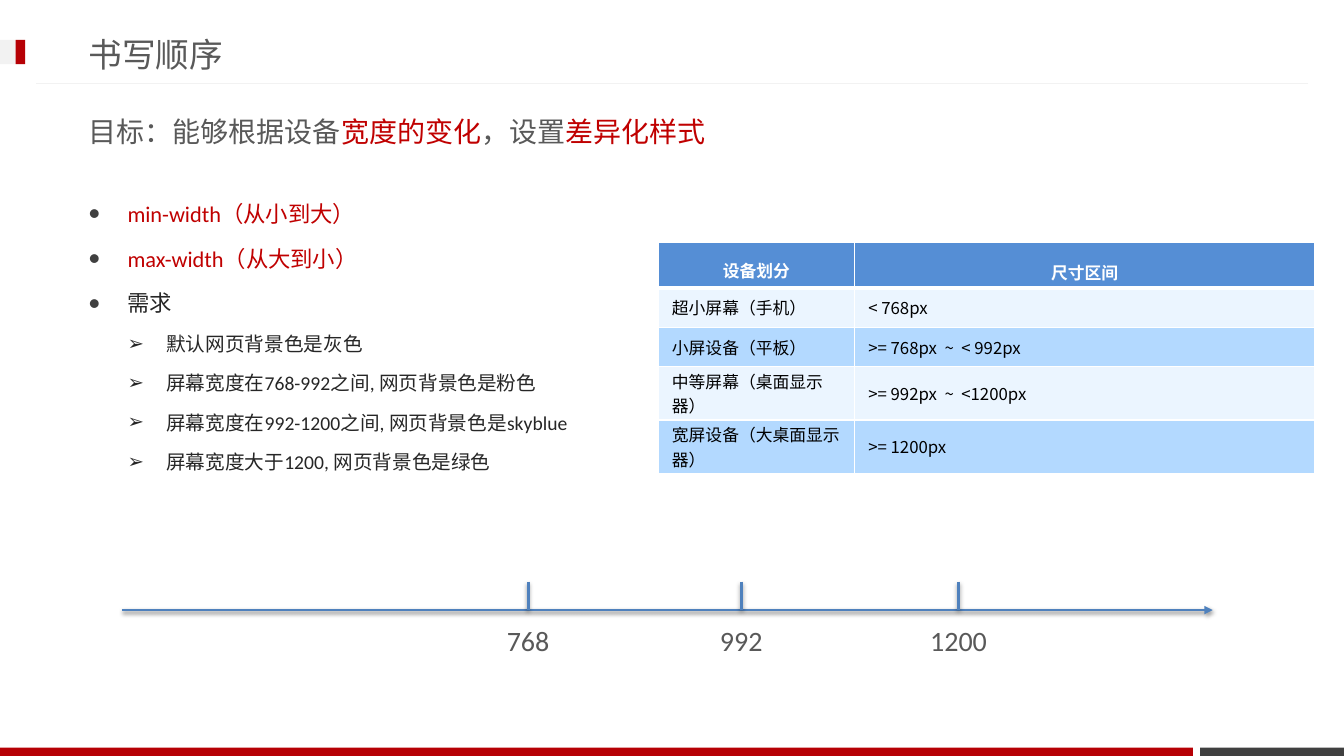
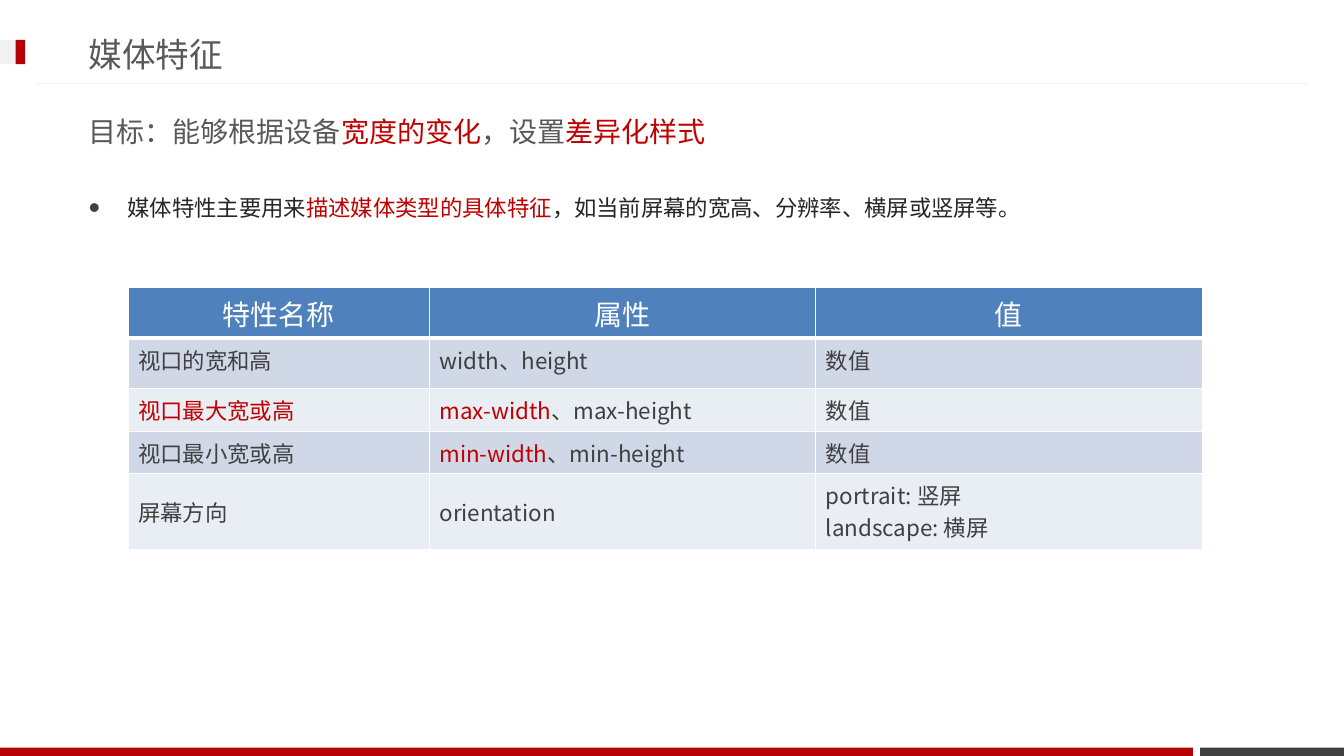
from lxml import etree
from pptx import Presentation
from pptx.dml.color import RGBColor
from pptx.enum.lang import MSO_LANGUAGE_ID as Lang
from pptx.enum.shapes import MSO_CONNECTOR as Connector, MSO_SHAPE as Shape
from pptx.enum.text import MSO_ANCHOR as Anchor, PP_ALIGN as Align
from pptx.oxml.ns import qn
from pptx.util import Pt

PX = 9525
SLIDE_W, SLIDE_H = 1280, 720
COLORS = {
    "band": "B60005", "dark": "404040", "pale": "F2F2F2", "white": "FFFFFF",
    "heading": "595959", "body": "262626", "accent": "C00000", "black": "000000",
    "blue": "4F81BD", "sky": "558ED5",
    "ice": "EBF5FF", "azure": "B3D9FF", "mist": "D0D8E8", "haze": "E9EDF4",
}
HEAD_FONT, BODY_FONT, CELL_FONT = "Lato", "Calibri", "Noto Sans CJK JP"
GOAL = "目标：能够根据设备|宽度的变化|，设置|差异化样式"
LEFT, TEXT_W = 75, 1128


def px(*lengths):
    return [length * PX for length in lengths]


def rgb(name):
    return RGBColor.from_string(COLORS[name])


def sub(parent, tag, **attributes):
    return etree.SubElement(parent, qn(tag), attributes)


def write(paragraph, text, size, font, color, bold=False, east_asian=None):
    """Fill a paragraph; every second part between bars takes the accent colour."""
    for index, part in enumerate(text.split("|")):
        if not part:
            continue
        run = paragraph.add_run()
        run.text = part
        run.font.size, run.font.name, run.font.bold = Pt(size), font, bold
        run.font.color.rgb = rgb("accent" if index % 2 else color)
        run.font.language_id = Lang.SIMPLIFIED_CHINESE
        if east_asian:
            sub(run.font._element, "a:ea", typeface=east_asian)


def add_text_frame(slide, box, anchor=Anchor.TOP):
    frame = slide.shapes.add_textbox(*px(*box)).text_frame
    frame.word_wrap = True
    frame.vertical_anchor = anchor
    return frame


def add_band(slide, box, color):
    band = slide.shapes.add_shape(Shape.RECTANGLE, *px(*box))
    band.shadow.inherit = False
    band.fill.solid()
    band.fill.fore_color.rgb = rgb(color)
    band.line.fill.background()


def add_line(slide, ends, color, width, arrow=False, shadow=False):
    line = slide.shapes.add_connector(Connector.STRAIGHT, *px(*ends))
    line.line.color.rgb = rgb(color)
    line.line.width = Pt(width)
    if arrow:
        sub(line.line._get_or_add_ln(), "a:tailEnd", type="triangle")
    effects = sub(line._element.spPr, "a:effectLst")
    if shadow:
        outer = sub(effects, "a:outerShdw", blurRad=str(Pt(3.1)), dist=str(Pt(1.6)),
                    dir="5400000", rotWithShape="0")
        shade = sub(outer, "a:srgbClr", val=COLORS["black"])
        sub(shade, "a:alpha", val="38000")


def add_page(deck, title):
    """Add a slide with the bands, title and goal that all slides share."""
    slide = deck.slides.add_slide(deck.slide_layouts[6])
    add_band(slide, (1143, 712, 137, 8), "dark")
    add_band(slide, (0, 712, 1136, 8), "band")
    add_line(slide, (1246, 80, 34, 80), "pale", 0.75)
    add_band(slide, (0, 38, 24, 23), "pale")
    add_band(slide, (15, 38, 9, 23), "band")
    for text, box, size in ((title, (LEFT, 24, 921, 55), 24),
                            (GOAL, (LEFT, 98, TEXT_W, 55), 20)):
        frame = add_text_frame(slide, box, Anchor.MIDDLE)
        write(frame.paragraphs[0], text, size, HEAD_FONT, "heading")
    return slide


def add_bullets(slide, box, items):
    """Write (level, text) items as a bulleted list."""
    frame = add_text_frame(slide, box)
    for index, (level, text) in enumerate(items):
        paragraph = frame.add_paragraph() if index else frame.paragraphs[0]
        size = 14 if level else 16
        paragraph.level = level
        paragraph.line_spacing = 1.5
        paragraph.space_before = Pt(size * 0.2 if index else 0)
        props = paragraph._p.get_or_add_pPr()
        hang = 37 * PX
        props.set("marL", str(hang * (level + 1)))
        props.set("indent", str(-hang))
        if level == 0:
            sub(sub(props, "a:buClr"), "a:srgbClr", val=COLORS["dark"])
            sub(props, "a:buSzPct", val="85000")
        sub(props, "a:buFont", typeface=BODY_FONT)
        sub(props, "a:buChar", char="➢" if level else "●")
        write(paragraph, text, size, BODY_FONT, "body")


def set_borders(cell, top, bottom):
    props = cell._tc.get_or_add_tcPr()
    for index, (side, width) in enumerate(
            (("L", 1), ("R", 1), ("T", top), ("B", bottom))):
        border = etree.Element(qn(f"a:ln{side}"), w=str(Pt(width)))
        sub(sub(border, "a:solidFill"), "a:srgbClr", val=COLORS["white"])
        props.insert(index, border)


def add_grid(slide, origin, widths, heights, rows, fills, style_cell):
    """Add a table; fills are the header colour, then the two row colours."""
    table = slide.shapes.add_table(len(rows), len(widths), *px(
        *origin, sum(widths), sum(heights))).table
    table.horz_banding = False
    for column, width in zip(table.columns, widths):
        column.width = width * PX
    for r, texts in enumerate(rows):
        table.rows[r].height = heights[r] * PX
        for c, text in enumerate(texts):
            cell = table.cell(r, c)
            cell.fill.solid()
            cell.fill.fore_color.rgb = rgb(fills[0] if r == 0 else fills[2 - r % 2])
            set_borders(cell, 3 if r == 1 else 1, 3 if r == 0 else 1)
            for index, line in enumerate(text.split("\n")):
                frame = cell.text_frame
                paragraph = frame.add_paragraph() if index else frame.paragraphs[0]
                style_cell(cell, paragraph, line, r, c)


def style_device_cell(cell, paragraph, text, row, column):
    cell.vertical_anchor = Anchor.MIDDLE
    if row == 0:
        paragraph.alignment = Align.CENTER
        paragraph.line_spacing = 1.4 + 0.1 * column
    else:
        cell.margin_left, cell.margin_right = px(13, 13)
        cell.margin_top, cell.margin_bottom = px(2, 2)
    write(paragraph, text, 12, CELL_FONT, "black" if row else "white",
          bold=row == 0, east_asian=CELL_FONT)


def style_feature_cell(cell, paragraph, text, row, column):
    if row == 0:
        paragraph.alignment = Align.CENTER
        write(paragraph, text, 20, BODY_FONT, "white", east_asian=CELL_FONT)
        return
    if row == 4 and column < 2:
        cell.vertical_anchor = Anchor.MIDDLE
    write(paragraph, text, 16, CELL_FONT, "dark", east_asian=CELL_FONT)


def add_width_axis(slide, box, breakpoints):
    """Draw an arrow along the box top with a tick and label per breakpoint."""
    left, top, width, label_height = box
    tick, gap, label_width = 27, 8, 80
    add_line(slide, (left, top, left + width, top), "blue", 2, arrow=True, shadow=True)
    for label, offset in breakpoints:
        x = left + offset
        add_line(slide, (x, top - tick, x, top), "blue", 2, shadow=True)
        frame = add_text_frame(
            slide, (x - label_width // 2, top + gap, label_width, label_height))
        frame.paragraphs[0].alignment = Align.CENTER
        write(frame.paragraphs[0], label, 20, BODY_FONT, "heading")


def build_order_slide(deck):
    slide = add_page(deck, "书写顺序")
    add_bullets(slide, (LEFT, 173, TEXT_W, 443), [
        (0, "|min-width（从小到大）"),
        (0, "|max-width（从大到小）"),
        (0, "需求"),
        (1, "默认网页背景色是灰色"),
        (1, "屏幕宽度在768-992之间, 网页背景色是粉色"),
        (1, "屏幕宽度在992-1200之间, 网页背景色是skyblue"),
        (1, "屏幕宽度大于1200, 网页背景色是绿色"),
    ])
    add_width_axis(slide, (116, 581, 1039, 42),
                   [("768", 387), ("992", 590), ("1200", 797)])
    add_grid(slide, (627, 231), (187, 438), (43, 38, 37, 51, 51), [
        ("设备划分", "尺寸区间"),
        ("超小屏幕（手机）", "< 768px"),
        ("小屏设备（平板）", ">= 768px  ~  < 992px"),
        ("中等屏幕（桌面显示器）", ">= 992px  ~  <1200px"),
        ("宽屏设备（大桌面显示器）", ">= 1200px"),
    ], ("sky", "ice", "azure"), style_device_cell)


def build_feature_slide(deck):
    slide = add_page(deck, "媒体特征")
    add_bullets(slide, (LEFT, 167, TEXT_W, 443), [
        (0, "媒体特性主要用来|描述媒体类型的具体特征|，如当前屏幕的宽高、分辨率、横屏或竖屏等。"),
    ])
    add_grid(slide, (122, 274), (287, 368, 368), (48, 48, 41, 40, 72), [
        ("特性名称", "属性", "值"),
        ("视口的宽和高", "width、height", "数值"),
        ("|视口最大宽或高", "|max-width|、max-height", "数值"),
        ("视口最小宽或高", "|min-width|、min-height", "数值"),
        ("屏幕方向", "orientation", "portrait: 竖屏\nlandscape: 横屏"),
    ], ("blue", "mist", "haze"), style_feature_cell)


def main():
    deck = Presentation()
    deck.slide_width, deck.slide_height = px(SLIDE_W, SLIDE_H)
    build_order_slide(deck)
    build_feature_slide(deck)
    deck.save("out.pptx")


if __name__ == "__main__":
    main()
